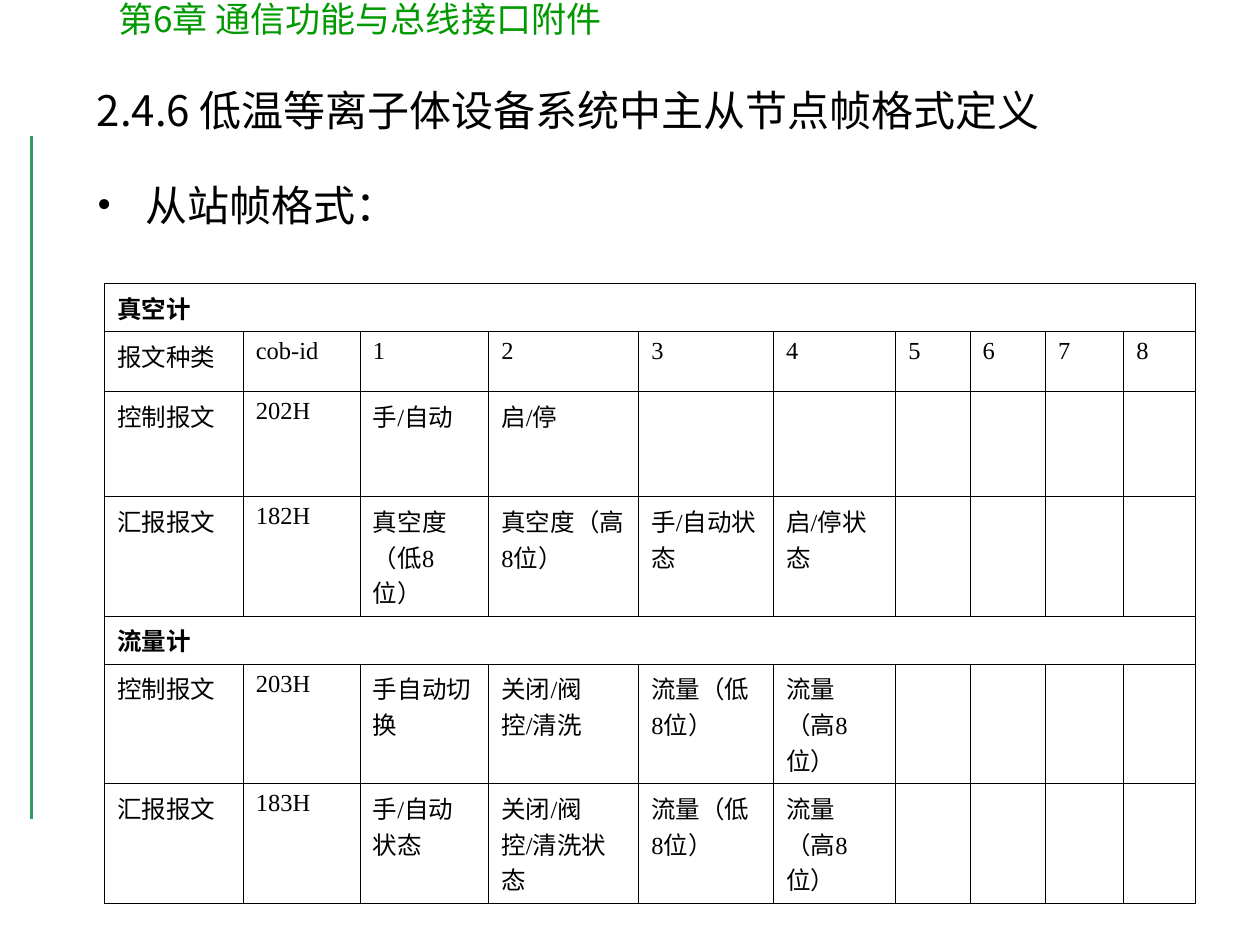
import pptx
import pptx.util
import pptx.dml.color
import pptx.enum.shapes
import pptx.enum.text
import pptx.oxml
import pptx.oxml.ns
import lxml.etree

Inches, Pt = pptx.util.Inches, pptx.util.Pt
qn = pptx.oxml.ns.qn
anchors = pptx.enum.text.MSO_ANCHOR
colors = {"black": "000000", "green": "009900", "rule": "339966"}
sans, serif = "Noto Sans CJK SC", "Times New Roman"


def write(text, frame, size=14, font=serif, color="black", bold=False):
    """Add a run of text to the first paragraph of a frame."""
    run = frame.paragraphs[0].add_run()
    run.text = text
    run.font.size = Pt(size)
    run.font.name = font
    run.font.bold = bold
    run.font.color.rgb = pptx.dml.color.RGBColor.from_string(colors[color])
    east = lxml.etree.Element(qn("a:ea"), typeface=sans)
    run.font._element.find(qn("a:latin")).addnext(east)


def add_box(left, top, width, height, anchor):
    """Add a wrapping text box and return its frame."""
    box = slide.shapes.add_textbox(Inches(left), Inches(top), Inches(width), Inches(height))
    box.text_frame.word_wrap = True
    box.text_frame.vertical_anchor = anchor
    return box.text_frame


deck = pptx.Presentation()
deck.slide_width, deck.slide_height = Inches(10), Inches(7.5)
slide = deck.slides.add_slide(deck.slide_layouts[6])

# Green rule at the left
rule = slide.shapes.add_connector(
    pptx.enum.shapes.MSO_CONNECTOR.STRAIGHT,
    Inches(0.25), Inches(1.08), Inches(0.25), Inches(6.5))
rule.line.width = Pt(2.25)
rule.line.color.rgb = pptx.dml.color.RGBColor.from_string(colors["rule"])
lxml.etree.SubElement(rule._element.spPr, qn("a:effectLst"))

# Chapter line and title
head = add_box(0.84, -0.07, 5.75, 0.44, anchors.MIDDLE)
write("第6章 通信功能与总线接口附件", head, size=20, font=sans, color="green")
title = add_box(0.67, 0.62, 8.5, 0.94, anchors.TOP)
write("2.4.6 低温等离子体设备系统中主从节点", title, size=24, font=sans)
write("帧格式定义", title, size=24)

# Frame format table: a row with one entry is a section heading
rows = [
    (0.38, ["真空计"]),
    (0.48, ["报文种类", "cob-id", "1", "2", "3", "4", "5", "6", "7", "8"]),
    (0.83, ["控制报文", "202H", "手/自动", "启/停"]),
    (0.95, ["汇报报文", "182H", "真空度（低8位）", "真空度（高8位）", "手/自动状态", "启/停状态"]),
    (0.38, ["流量计"]),
    (0.95, ["控制报文", "203H", "手自动切换", "关闭/阀控/清洗", "流量（低8位）", "流量（高8位）"]),
    (0.95, ["汇报报文", "183H", "手/自动状态", "关闭/阀控/清洗状态", "流量（低8位）", "流量（高8位）"]),
]
widths = [1.1, 0.93, 1.02, 1.19, 1.07, 0.97, 0.59, 0.6, 0.62, 0.57]
table = slide.shapes.add_table(
    len(rows), len(widths), Inches(0.83), Inches(2.25), Inches(8.66), Inches(4.92)).table
table.first_row = table.horz_banding = False
for col, width in zip(table.columns, widths):
    col.width = Inches(width)

for r, (height, texts) in enumerate(rows):
    table.rows[r].height = Inches(height)
    section = len(texts) == 1
    for c in range(len(widths)):
        cell = table.cell(r, c)
        cell.fill.background()
        if c < len(texts):
            write(texts[c], cell.text_frame, bold=section)
        else:
            cell.text_frame.paragraphs[0].font.size = Pt(14)
        # Thin black borders go before the fill
        for i, side in enumerate(["lnL", "lnR", "lnT", "lnB"]):
            edge = lxml.etree.Element(qn("a:" + side), w=str(Pt(0.45)))
            fill = lxml.etree.SubElement(edge, qn("a:solidFill"))
            lxml.etree.SubElement(fill, qn("a:srgbClr"), val=colors["black"])
            cell._tc.get_or_add_tcPr().insert(i, edge)
    if section:
        table.cell(r, 0).merge(table.cell(r, len(widths) - 1))

# Bulleted line above the table
point = add_box(0.67, 0.84, 6.06, 1.57, anchors.MIDDLE)
props = point.paragraphs[0]._p.get_or_add_pPr()
props.set("marL", str(Inches(0.39)))
props.set("indent", str(-Inches(0.39)))
tint = lxml.etree.SubElement(props, qn("a:buClr"))
lxml.etree.SubElement(tint, qn("a:srgbClr"), val=colors["black"])
lxml.etree.SubElement(props, qn("a:buFont"), typeface=serif)
lxml.etree.SubElement(props, qn("a:buChar"), char="•")
write("从站帧格式：", point, size=24)

deck.save("out.pptx")
